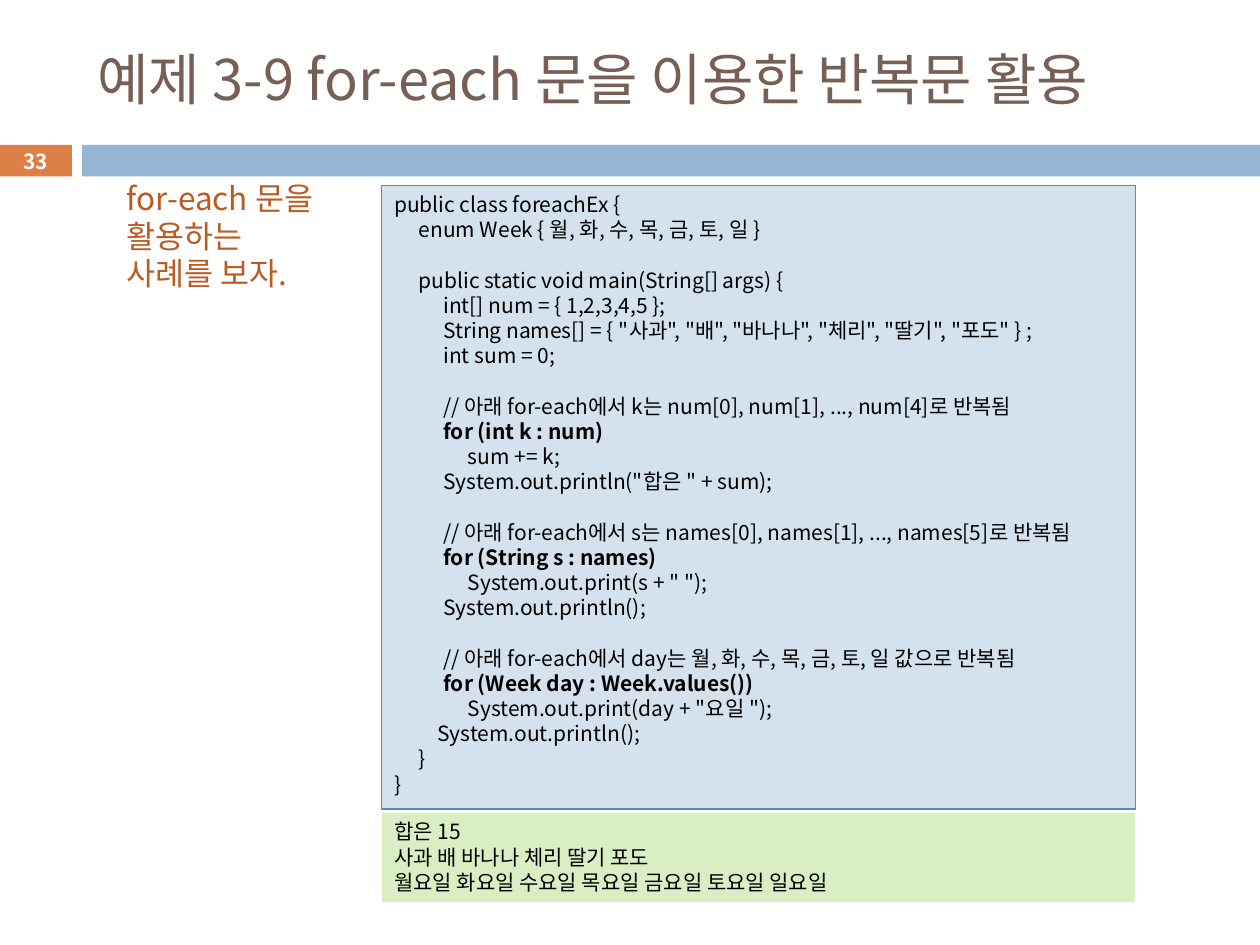
from pptx import Presentation, util as u
from pptx.dml.color import RGBColor
from pptx.enum import shapes, text
from pptx.oxml import ns
from lxml import etree

FONT = "Noto Sans CJK KR"
BROWN = RGBColor(0x77, 0x5F, 0x55)
ORANGE = RGBColor(0xDD, 0x80, 0x47)
RUST = RGBColor(0xB9, 0x5B, 0x22)
BLUE = RGBColor(0x94, 0xB6, 0xD2)
PALE_BLUE = RGBColor(0xD4, 0xE2, 0xED)
EDGE_BLUE = RGBColor(0x55, 0x8B, 0xB8)
PALE_GREEN = RGBColor(0xDA, 0xEE, 0xC4)
WHITE = RGBColor(0xFF, 0xFF, 0xFF)
BLACK = RGBColor(0, 0, 0)
TAB_STEP = 0.195

CODE = """public class foreachEx {
\tenum Week { 월, 화, 수, 목, 금, 토, 일 }

\tpublic static void main(String[] args) {
\t\tint[] num = { 1,2,3,4,5 };
\t\tString names[] = { "사과", "배", "바나나", "체리", "딸기", "포도" } ;
\t\tint sum = 0;

\t\t// 아래 for-each에서 k는 num[0], num[1], ..., num[4]로 반복됨
\t\tfor (int k : num)
\t\t\tsum += k;
\t\tSystem.out.println("합은 " + sum);

\t\t// 아래 for-each에서 s는 names[0], names[1], ..., names[5]로 반복됨
\t\tfor (String s : names)
\t\t\tSystem.out.print(s + " ");
\t\tSystem.out.println();

\t\t// 아래 for-each에서 day는 월, 화, 수, 목, 금, 토, 일 값으로 반복됨
\t\tfor (Week day : Week.values())
\t\t\tSystem.out.print(day + "요일 ");
\t    System.out.println();
\t}
}"""
RESULT = """합은 15
사과 배 바나나 체리 딸기 포도
월요일 화요일 수요일 목요일 금요일 토요일 일요일"""


def write(frame, content, size, color, bold=False, bold_start=None, tabs=0,
          align=text.PP_ALIGN.LEFT, anchor=text.MSO_ANCHOR.TOP):
    frame.word_wrap = True
    frame.auto_size = text.MSO_AUTO_SIZE.NONE
    frame.vertical_anchor = anchor
    gap = 0
    paragraph = None
    for line in content.split("\n"):
        if not line:
            gap = size * 1.2
            continue
        paragraph = frame.add_paragraph() if paragraph else frame.paragraphs[0]
        paragraph.alignment = align
        if gap:
            paragraph.space_before = u.Pt(gap)
            gap = 0
        if tabs:
            stops = etree.SubElement(paragraph._p.get_or_add_pPr(), ns.qn("a:tabLst"))
            for step in range(1, tabs + 1):
                etree.SubElement(stops, ns.qn("a:tab"),
                                 pos=str(u.Inches(step * TAB_STEP)), algn="l")
        run = paragraph.add_run()
        run.text = line
        run.font.name = FONT
        run.font.size = u.Pt(size)
        run.font.color.rgb = color
        run.font.bold = bold or bool(bold_start and line.strip().startswith(bold_start))
        etree.SubElement(run._r.get_or_add_rPr(), ns.qn("a:ea"), typeface=FONT)


def add_box(left, top, width, height, fill, edge=None):
    box = slide.shapes.add_shape(shapes.MSO_SHAPE.RECTANGLE, u.Inches(left), u.Inches(top),
                                 u.Inches(width), u.Inches(height))
    box.shadow.inherit = False
    box.fill.solid()
    box.fill.fore_color.rgb = fill
    if edge:
        box.line.color.rgb = edge
        box.line.width = u.Pt(0.75)
    else:
        box.line.fill.background()
    return box


deck = Presentation()
deck.slide_width, deck.slide_height = u.Inches(10), u.Inches(7.5)
slide = deck.slides.add_slide(deck.slide_layouts[5])

number_band = add_box(-0.01, 1.15, 0.58, 0.25, ORANGE)
add_box(0.65, 1.15, 9.35, 0.25, BLUE)

heading = slide.shapes.title
heading.left, heading.top = u.Inches(0.67), u.Inches(0.25)
heading.width, heading.height = u.Inches(8.92), u.Inches(0.74)
write(heading.text_frame, "예제 3-9 for-each 문을 이용한 반복문 활용", size=32, color=BROWN,
      anchor=text.MSO_ANCHOR.MIDDLE)

write(number_band.text_frame, "33", size=11.9, color=WHITE, bold=True,
      align=text.PP_ALIGN.CENTER, anchor=text.MSO_ANCHOR.MIDDLE)

task = slide.shapes.add_textbox(u.Inches(0.91), u.Inches(1.37), u.Inches(1.97), u.Inches(1.01))
write(task.text_frame, "for-each 문을\n활용하는\n사례를 보자.", size=18, color=RUST)

listing = add_box(3.03, 1.47, 5.98, 4.95, PALE_BLUE, edge=EDGE_BLUE)
write(listing.text_frame, CODE, size=12, color=BLACK, bold_start="for (", tabs=3)

output = add_box(3.03, 6.45, 5.98, 0.71, PALE_GREEN)
write(output.text_frame, RESULT, size=12, color=BLACK)

deck.save("out.pptx")
